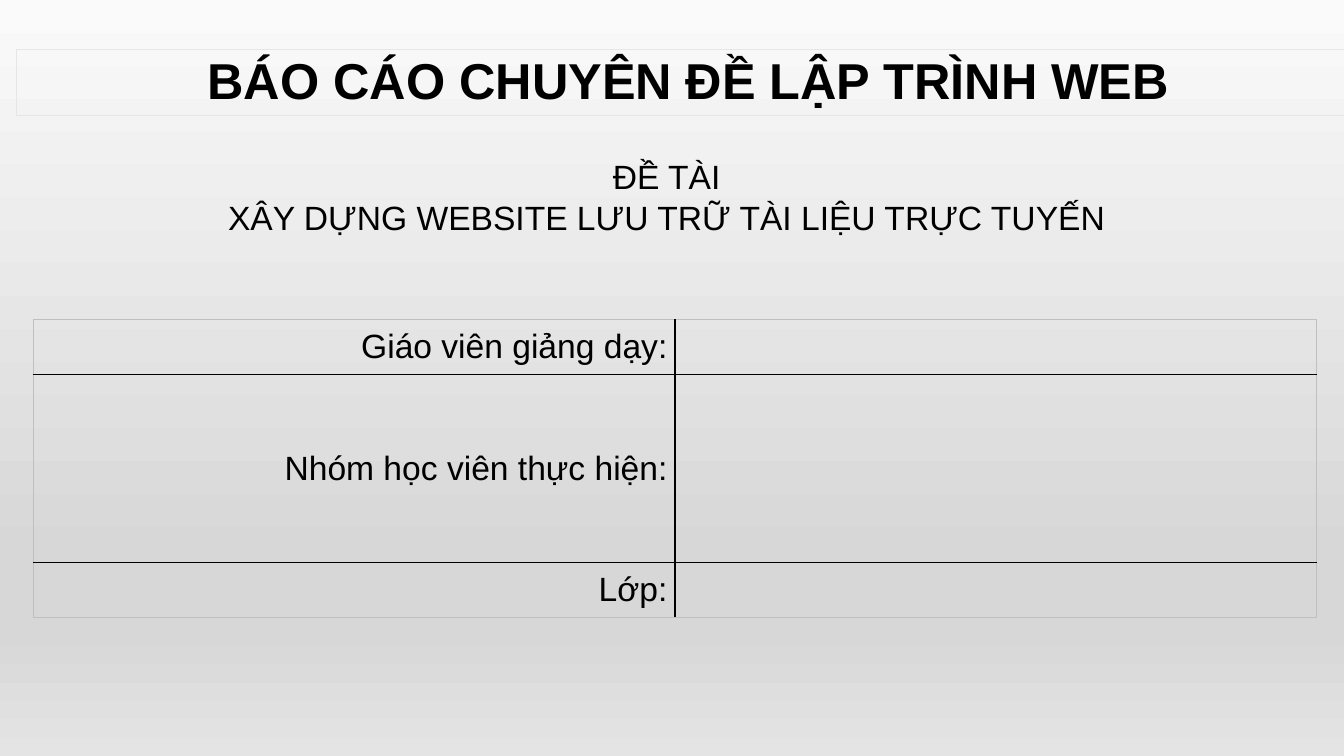
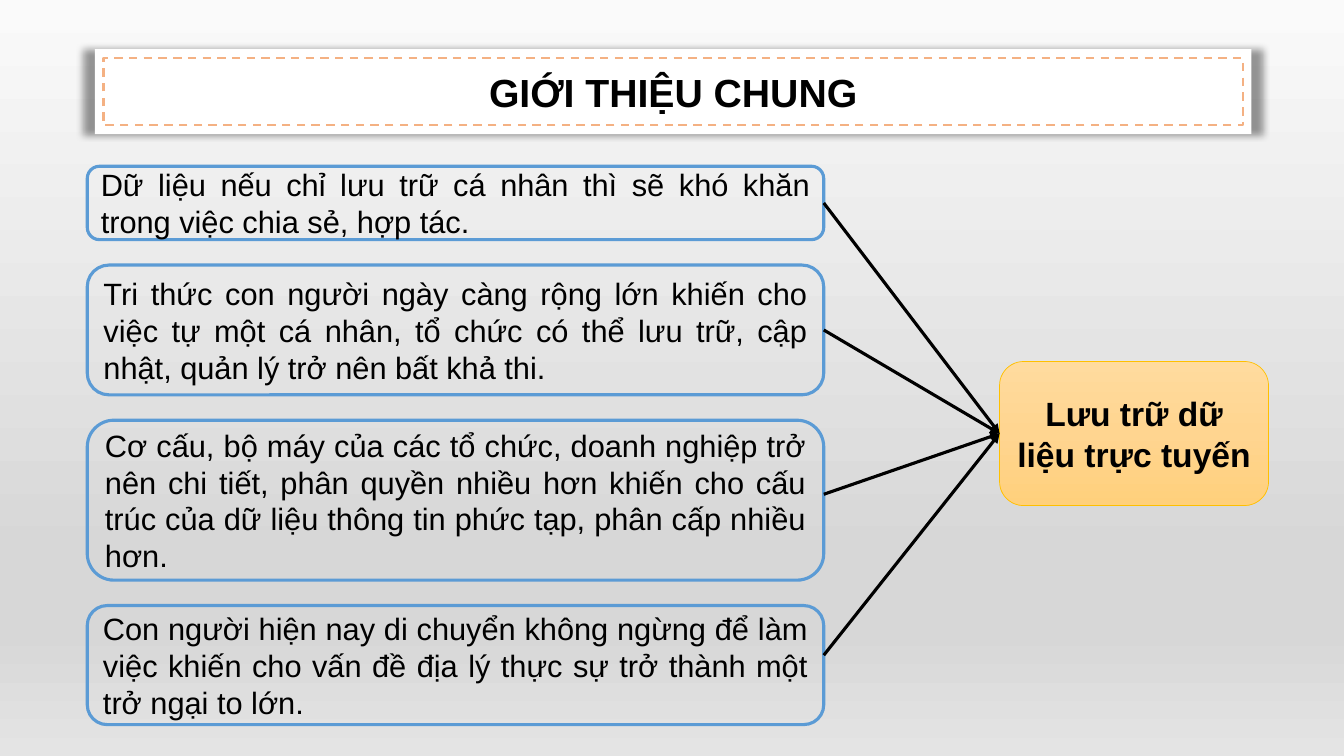
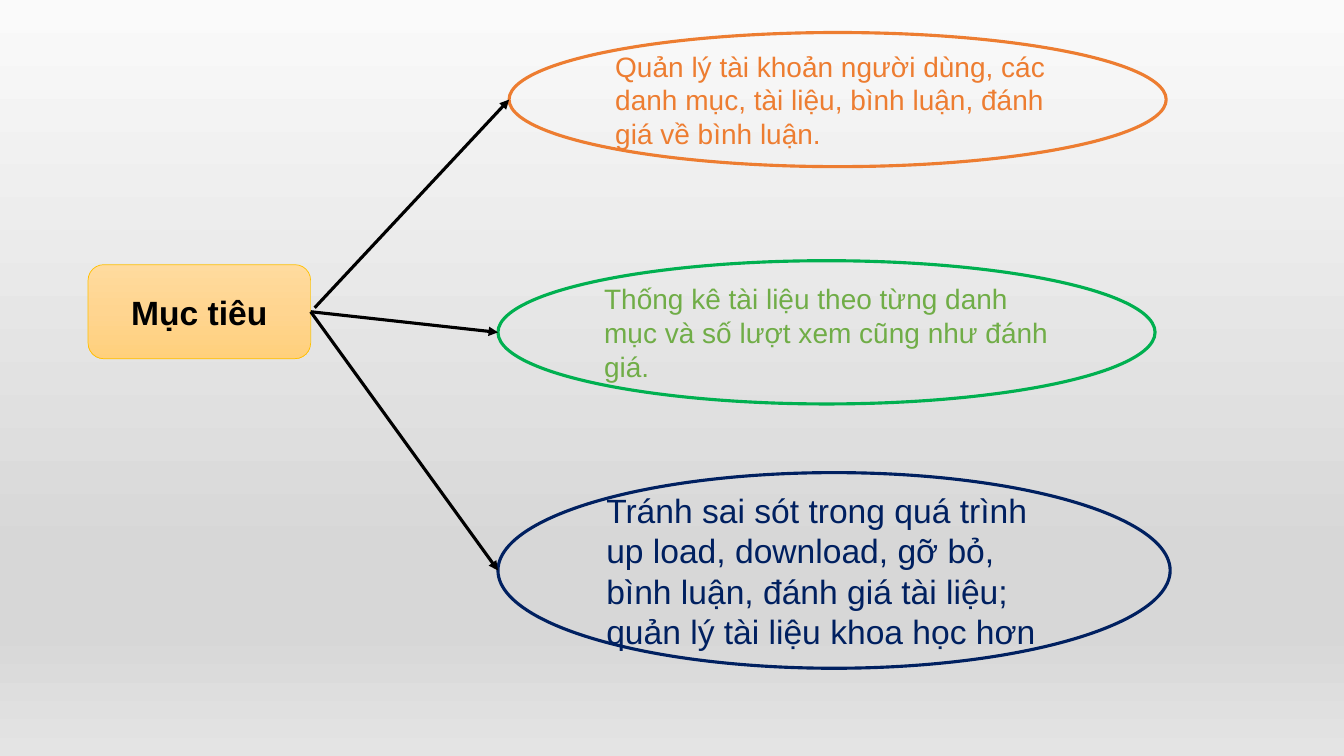
from dataclasses import dataclass
from typing import Optional

import lxml.etree
import pptx
import pptx.dml.color
import pptx.enum.dml
import pptx.enum.shapes
import pptx.enum.text
import pptx.oxml.ns
import pptx.shapes.autoshape
import pptx.slide
import pptx.text.text
import pptx.util

Cm = pptx.util.Cm
Pt = pptx.util.Pt
qn = pptx.oxml.ns.qn
RGB = pptx.dml.color.RGBColor.from_string
Align = pptx.enum.text.PP_ALIGN
Anchor = pptx.enum.text.MSO_ANCHOR
Kind = pptx.enum.shapes.MSO_SHAPE
Slide = pptx.slide.Slide
Shape = pptx.shapes.autoshape.Shape
Stops = tuple[tuple[int, str], ...]


@dataclass(frozen=True)
class Theme:
    font: str = "Arial"
    ink: str = "000000"
    white: str = "FFFFFF"
    frame: str = "E7E6E6"
    table_edge: str = "BFBFBF"
    dash: str = "F4B183"
    blue: str = "5B9BD5"
    gold: str = "FFC000"
    orange: str = "ED7D31"
    green_line: str = "00B050"
    green_text: str = "70AD47"
    navy: str = "002060"
    page: Stops = ((0, "FAFAFA"), (74, "D7D7D7"), (83, "D7D7D7"), (100, "E4E4E4"))
    hub: Stops = ((0, "FFDB9E"), (50, "FFD590"), (100, "FFD07C"))
    title_size: int = 36
    banner_size: int = 28
    large: int = 24
    body: int = 22
    small: int = 20
    thick: float = 2.25


T = Theme()


@dataclass(frozen=True)
class Box:
    left: float
    top: float
    width: float
    height: float

    def lengths(self) -> tuple[int, ...]:
        return tuple(Cm(v) for v in (self.left, self.top, self.width, self.height))

    def inset(self, d: float) -> "Box":
        return Box(self.left + d, self.top + d, self.width - 2 * d, self.height - 2 * d)


@dataclass(frozen=True)
class Line:
    color: str
    width: float
    dashed: bool = False


@dataclass(frozen=True)
class Reason:
    text: str
    height: float
    lift: float = 0  # arrow start above the middle of the box


@dataclass(frozen=True)
class Goal:
    text: str
    box: Box
    line_color: str
    text_color: str
    size: int
    start: tuple[float, float] = (0, 0)


PAGE = Box(0, 0, 33.87, 19.05)

REASONS = (
    Reason("Dữ liệu nếu chỉ lưu trữ cá nhân thì sẽ khó khăn trong việc chia sẻ, hợp tác.", 1.85),
    Reason("Tri thức con người ngày càng rộng lớn khiến cho việc tự một cá nhân, tổ chức "
           "có thể lưu trữ, cập nhật, quản lý trở nên bất khả thi.", 3.27),
    Reason("Cơ cấu, bộ máy của các tổ chức, doanh nghiệp trở nên chi tiết, phân quyền nhiều "
           "hơn khiến cho cấu trúc của dữ liệu thông tin phức tạp, phân cấp nhiều hơn.",
           4.03, 0.15),
    Reason("Con người hiện nay di chuyển không ngừng để làm việc khiến cho vấn đề địa lý "
           "thực sự trở thành một trở ngại to lớn.", 3, 0.25),
)

GOALS = (
    Goal("Quản lý tài khoản người dùng, các danh mục, tài liệu, bình luận, đánh giá về bình luận.",
         Box(12.83, 0.82, 16.56, 3.38), T.orange, T.orange, T.small, (0.1, -0.1)),
    Goal("Thống kê tài liệu theo từng danh mục và số lượt xem cũng như đánh giá.",
         Box(12.55, 6.57, 16.56, 3.61), T.green_line, T.green_text, T.small),
    Goal("Tránh sai sót trong quá trình up load, download, gỡ bỏ, bình luận, đánh giá tài liệu; "
         "quản lý tài liệu khoa học hơn",
         Box(12.55, 11.91, 16.94, 4.93), T.navy, T.navy, T.large),
)

TABLE_ROWS = (("Giáo viên giảng dạy:", 1.39), ("Nhóm học viên thực hiện:", 4.74), ("Lớp:", 1.39))


def fill_gradient(sp: Shape, stops: Stops) -> None:
    """Fill from top to bottom."""
    sp.fill.gradient()
    sp.fill.gradient_angle = 270
    gs_list = next(sp.element.iter(qn("a:gsLst")))
    for gs in list(gs_list):
        gs_list.remove(gs)
    for pos, color in stops:
        gs = lxml.etree.SubElement(gs_list, qn("a:gs"), pos=str(pos * 1000))
        lxml.etree.SubElement(gs, qn("a:srgbClr"), val=color)


def add_run(p, text: str, size: int, color: str = T.ink, bold: bool = False) -> None:
    r = p.add_run()
    r.text = text
    r.font.name = T.font
    r.font.size = Pt(size)
    r.font.bold = bold
    r.font.color.rgb = RGB(color)


def add_shape(s: Slide, kind: Kind, box: Box, line: Optional[Line] = None,
              fill: Optional[str] = None) -> Shape:
    sp = s.shapes.add_shape(kind, *box.lengths())
    sp.shadow.inherit = False
    if fill:
        sp.fill.solid()
        sp.fill.fore_color.rgb = RGB(fill)
    else:
        sp.fill.background()
    if line:
        sp.line.color.rgb = RGB(line.color)
        sp.line.width = Pt(line.width)
        if line.dashed:
            sp.line.dash_style = pptx.enum.dml.MSO_LINE.DASH
    else:
        sp.line.fill.background()
    return sp


def write(sp: Shape, text: str, size: int, align: Align, color: str = T.ink,
          bold: bool = False) -> pptx.text.text._Paragraph:
    tf = sp.text_frame
    tf.word_wrap = True
    tf.vertical_anchor = Anchor.MIDDLE
    p = tf.paragraphs[0]
    p.alignment = align
    add_run(p, text, size, color, bold)
    return p


def add_hub(s: Slide, box: Box, text: str) -> Shape:
    sp = add_shape(s, Kind.ROUNDED_RECTANGLE, box, Line(T.gold, 0.5))
    fill_gradient(sp, T.hub)
    write(sp, text, T.large, Align.CENTER, bold=True)
    return sp


def add_arrow(s: Slide, source: Shape, target: Shape, dx: float = 0, dy: float = 0) -> None:
    """Join the right side of source, moved by dx and dy, to the left side of target."""
    start = (source.left + source.width + Cm(dx), source.top + source.height // 2 + Cm(dy))
    end = (target.left, target.top + target.height // 2)
    cn = s.shapes.add_connector(pptx.enum.shapes.MSO_CONNECTOR.STRAIGHT, *start, *end)
    cn.line.color.rgb = RGB(T.ink)
    cn.line.width = Pt(T.thick)
    ln = next(cn.element.iter(qn("a:ln")))
    lxml.etree.SubElement(ln, qn("a:tailEnd"), type="triangle")
    lxml.etree.SubElement(cn.element.spPr, qn("a:effectLst"))


def add_halo(sp: Shape) -> None:
    effects = next(sp.element.iter(qn("a:effectLst")))
    shadow = lxml.etree.SubElement(effects, qn("a:outerShdw"), blurRad=str(Pt(5)), sx="102000",
                                   sy="102000", algn="ctr", rotWithShape="0")
    color = lxml.etree.SubElement(shadow, qn("a:srgbClr"), val=T.ink)
    lxml.etree.SubElement(color, qn("a:alpha"), val="40000")


def add_banner(s: Slide, text: str) -> None:
    box = Box(2.39, 1.24, 29.15, 2.14)
    sp = add_shape(s, Kind.RECTANGLE, box, fill=T.white)
    add_halo(sp)
    write(sp, text, T.banner_size, Align.CENTER, bold=True)
    add_shape(s, Kind.RECTANGLE, box.inset(0.22), Line(T.dash, 1.5, dashed=True))


def set_border(cell, side: str, line: Line) -> None:
    ln = lxml.etree.SubElement(cell._tc.get_or_add_tcPr(), qn(f"a:ln{side}"),
                               w=str(Pt(line.width)))
    solid = lxml.etree.SubElement(ln, qn("a:solidFill"))
    lxml.etree.SubElement(solid, qn("a:srgbClr"), val=line.color)


def add_people_table(s: Slide) -> None:
    n = len(TABLE_ROWS)
    box = Box(0.84, 8.05, 32.34, sum(h for _, h in TABLE_ROWS))
    table = s.shapes.add_table(n, 2, *box.lengths()).table
    table.first_row = table.horz_banding = False
    inner, outer = Line(T.ink, 1), Line(T.table_edge, 0.75)
    for i, (label, height) in enumerate(TABLE_ROWS):
        table.rows[i].height = Cm(height)
        for j in range(2):
            cell = table.cell(i, j)
            on_edge = {"L": j == 0, "R": j == 1, "T": i == 0, "B": i == n - 1}
            for side, is_outer in on_edge.items():
                set_border(cell, side, outer if is_outer else inner)
            cell.fill.background()
            cell.margin_left = cell.margin_right = Cm(0.19)
            cell.margin_top = cell.margin_bottom = 0
            cell.vertical_anchor = Anchor.MIDDLE
        p = table.cell(i, 0).text_frame.paragraphs[0]
        p.alignment = Align.RIGHT
        p.space_after = Pt(6)
        add_run(p, label, T.large)


def build_cover(s: Slide) -> None:
    title = add_shape(s, Kind.RECTANGLE, Box(0.42, 1.26, 33.87, 1.65), Line(T.frame, 0.75))
    p = write(title, "BÁO CÁO CHUYÊN ĐỀ LẬP TRÌNH WEB", T.title_size, Align.CENTER, bold=True)
    p.line_spacing = 0.9
    topic = s.shapes.add_textbox(*Box(0.43, 3.81, 32.74, 3.07).lengths())
    tf = topic.text_frame
    tf.word_wrap = True
    p = tf.paragraphs[0]
    p.alignment = Align.CENTER
    add_run(p, "ĐỀ TÀI", T.large)
    p.add_line_break()
    add_run(p, "XÂY DỰNG WEBSITE LƯU TRỮ TÀI LIỆU TRỰC TUYẾN", T.large)
    add_people_table(s)


def build_introduction(s: Slide) -> None:
    add_banner(s, "GIỚI THIỆU CHUNG")
    hub = add_hub(s, Box(25.19, 9.11, 6.78, 3.63), "Lưu trữ dữ liệu trực tuyến")
    top, gap = 4.19, 0.64
    for reason in REASONS:
        sp = add_shape(s, Kind.ROUNDED_RECTANGLE, Box(2.2, top, 18.56, reason.height),
                       Line(T.blue, T.thick))
        write(sp, reason.text, T.body, Align.JUSTIFY)
        add_arrow(s, sp, hub, dy=-reason.lift)
        top += reason.height + gap


def build_goals(s: Slide) -> None:
    hub = add_hub(s, Box(2.22, 6.67, 5.61, 2.37), "Mục tiêu")
    for goal in GOALS:
        sp = add_shape(s, Kind.OVAL, goal.box, Line(goal.line_color, T.thick))
        write(sp, goal.text, goal.size, Align.LEFT, goal.text_color)
        add_arrow(s, hub, sp, *goal.start)


def add_master_backdrop(master: pptx.slide.SlideMaster, s: Slide) -> None:
    """Draw the page gradient on s, then move it behind everything on the master."""
    sp = add_shape(s, Kind.RECTANGLE, PAGE)
    fill_gradient(sp, T.page)
    master.shapes.element.insert(2, sp.element)


def main() -> None:
    prs = pptx.Presentation()
    prs.slide_width, prs.slide_height = Cm(PAGE.width), Cm(PAGE.height)
    builders = (build_cover, build_introduction, build_goals)
    slides = [prs.slides.add_slide(prs.slide_layouts[6]) for _ in builders]
    add_master_backdrop(prs.slide_master, slides[0])
    for build, s in zip(builders, slides):
        build(s)
    prs.save("out.pptx")


if __name__ == "__main__":
    main()
